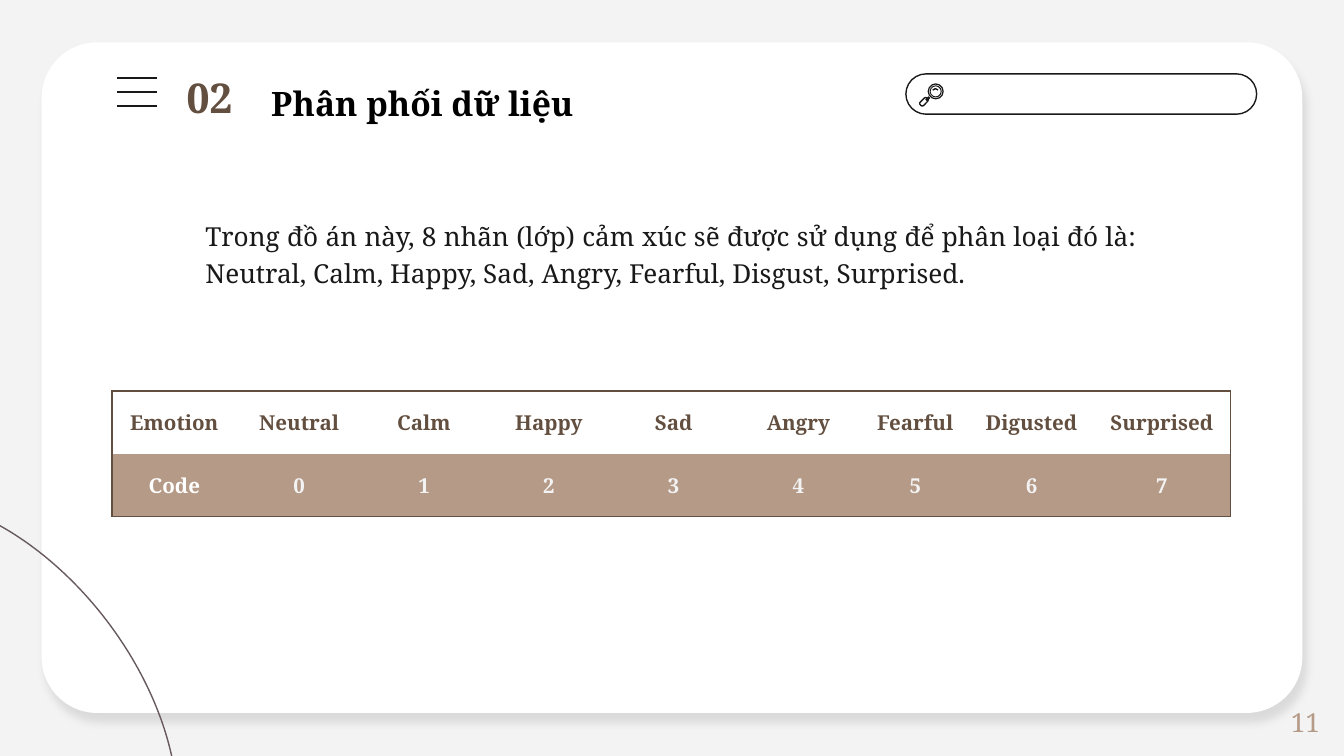
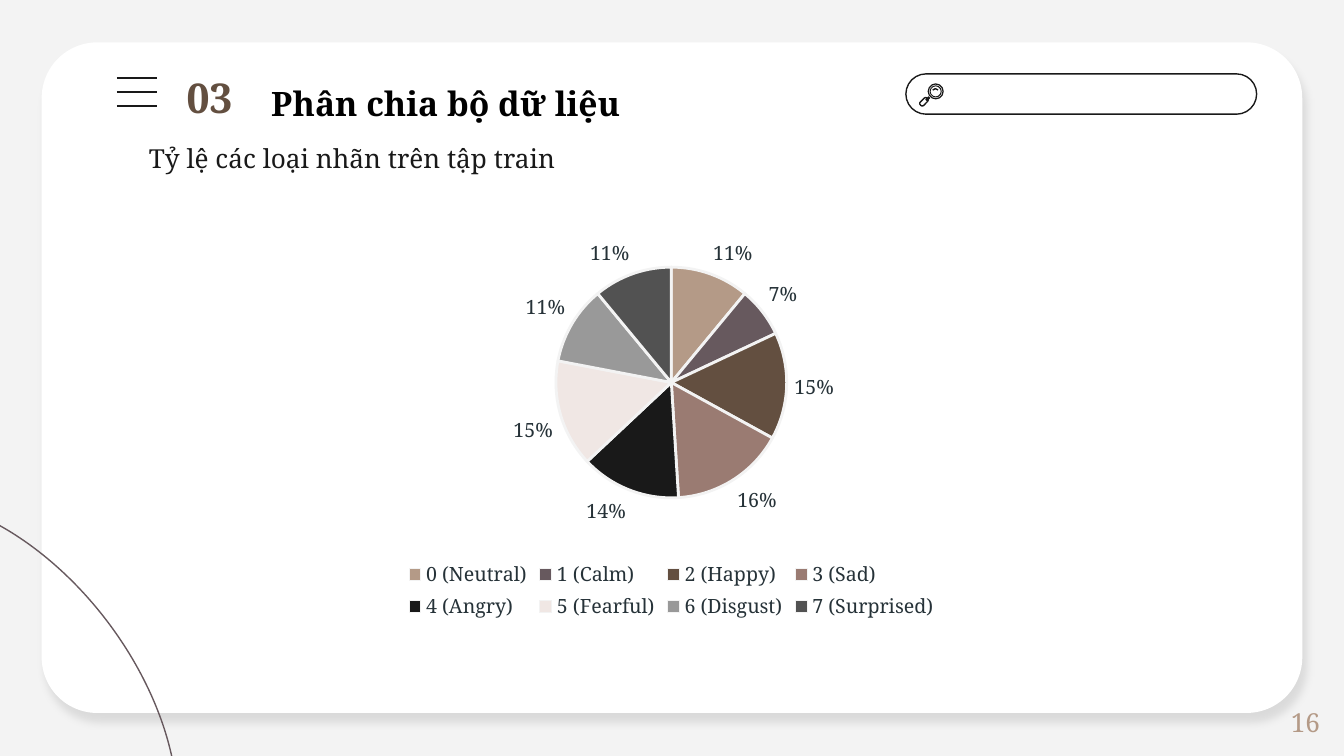
from dataclasses import dataclass

from lxml import etree
from pptx import Presentation
from pptx.chart.data import CategoryChartData
from pptx.dml.color import RGBColor
from pptx.enum.chart import XL_CHART_TYPE, XL_LABEL_POSITION, XL_LEGEND_POSITION
from pptx.enum.shapes import MSO_CONNECTOR, MSO_SHAPE
from pptx.enum.text import MSO_ANCHOR, PP_ALIGN
from pptx.oxml.ns import qn
from pptx.util import Emu, Inches, Pt

ROUNDED, OVAL, RING = MSO_SHAPE.ROUNDED_RECTANGLE, MSO_SHAPE.OVAL, MSO_SHAPE.DONUT
STRAIGHT = MSO_CONNECTOR.STRAIGHT
LEFT, CENTER, RIGHT, JUSTIFY = PP_ALIGN.LEFT, PP_ALIGN.CENTER, PP_ALIGN.RIGHT, PP_ALIGN.JUSTIFY
TOP, MIDDLE = MSO_ANCHOR.TOP, MSO_ANCHOR.MIDDLE
PIE, LEGEND_BOTTOM, OUTSIDE = XL_CHART_TYPE.PIE, XL_LEGEND_POSITION.BOTTOM, XL_LABEL_POSITION.OUTSIDE_END


@dataclass(frozen=True)
class Theme:
    font: str = "Noto Serif"
    paper: RGBColor = RGBColor.from_string("F3F3F3")
    card: RGBColor = RGBColor.from_string("FFFFFF")
    title: RGBColor = RGBColor.from_string("000000")
    ink: RGBColor = RGBColor.from_string("191919")
    brown: RGBColor = RGBColor.from_string("634F40")
    tan: RGBColor = RGBColor.from_string("B49A87")
    plum: RGBColor = RGBColor.from_string("67595E")
    chart_text: RGBColor = RGBColor.from_string("263238")
    slices: tuple = ("B49A87", "67595E", "634F40", "9A7B72", "191919", "F0E7E4", "999999", "525252")
    number_size: Pt = Pt(22)
    title_size: Pt = Pt(18)
    body_size: Pt = Pt(14)
    table_size: Pt = Pt(11)
    chart_size: Pt = Pt(10.5)
    hairline: Pt = Pt(0.75)
    border: Pt = Pt(1)
    slice_line: Pt = Pt(1.5)


theme = Theme()
presentation = Presentation()
presentation.slide_width = Inches(10)
presentation.slide_height = Inches(5.625)
CELL = presentation.slide_width // 100
presentation.slide_master.background.fill.solid()
presentation.slide_master.background.fill.fore_color.rgb = theme.paper


def add_preset(slide, preset, box, fill=None, line=None, rotation=0, adjustment=None):
    shape = slide.shapes.add_shape(preset, *(Emu(int(value * CELL)) for value in box))
    shape.shadow.inherit = False
    shape.rotation = rotation
    if adjustment is not None:
        shape.adjustments[0] = adjustment
    if fill is None:
        shape.fill.background()
    else:
        shape.fill.solid()
        shape.fill.fore_color.rgb = fill
    if line is None:
        shape.line.fill.background()
    else:
        shape.line.color.rgb = line
        shape.line.width = theme.hairline
    return shape


def add_text(slide, box, text, size, color, bold=False, inset=0.5, anchor=TOP, **paragraph_format):
    text_box = slide.shapes.add_textbox(*(Emu(int(value * CELL)) for value in box))
    frame = text_box.text_frame
    frame_format = {
        "word_wrap": True,
        "vertical_anchor": anchor,
        "margin_left": CELL,
        "margin_right": CELL,
        "margin_top": int(inset * CELL),
        "margin_bottom": int(inset * CELL),
    }
    for name, value in frame_format.items():
        setattr(frame, name, value)
    paragraph = frame.paragraphs[0]
    paragraph.text = text
    for name, value in paragraph_format.items():
        setattr(paragraph, name, value)
    for name, value in {"name": theme.font, "size": size, "bold": bold}.items():
        setattr(paragraph.font, name, value)
    paragraph.font.color.rgb = color


slides = []
for number, title, page in (("02", "Phân phối dữ liệu", "11"), ("03", "Phân chia bộ dữ liệu", "16")):
    slide = presentation.slides.add_slide(presentation.slide_layouts[6])
    slides.append(slide)

    card = add_preset(slide, ROUNDED, (3.1, 3.15, 93.8, 49.9), fill=theme.card, adjustment=0.083)
    effects = card._element.spPr.find(qn("a:effectLst"))
    shadow = etree.SubElement(
        effects, qn("a:outerShdw"), blurRad=str(Pt(4.5)), dist=str(Pt(6)),
        dir=str(68 * 60000), algn="bl", rotWithShape="0",
    )
    shadow_color = etree.SubElement(shadow, qn("a:srgbClr"), val=str(theme.title))
    etree.SubElement(shadow_color, qn("a:alpha"), val="10000")

    add_preset(slide, OVAL, (-19.6, 41.7, 36.8, 23.1), line=theme.plum, rotation=53)

    for bar in range(3):
        height = int((5.8 + 1.05 * bar) * CELL)
        menu_bar = slide.shapes.add_connector(STRAIGHT, int(8.7 * CELL), height, int(11.7 * CELL), height)
        menu_bar.line.color.rgb = theme.ink
        menu_bar.line.width = theme.hairline
        etree.SubElement(menu_bar._element.spPr, qn("a:effectLst"))

    add_preset(slide, ROUNDED, (67.4, 5.5, 26.1, 3), line=theme.ink, adjustment=0.5)
    for diameter in (1.2, 0.9):
        lens = (69.62 - diameter / 2, 6.8 - diameter / 2, diameter, diameter)
        add_preset(slide, RING, lens, fill=theme.ink, adjustment=0.08)
    add_preset(slide, ROUNDED, (68.85, 7.25, 0.35, 0.2), fill=theme.ink, rotation=315)
    add_preset(slide, ROUNDED, (68.4, 7.4, 0.7, 0.35), line=theme.ink, rotation=315, adjustment=0.4)
    glint = slide.shapes.build_freeform(694, 67, scale=CELL / 10)
    glint.add_line_segments([(696, 66), (698, 67)], close=False)
    glint_shape = glint.convert_to_shape()
    glint_shape.shadow.inherit = False
    glint_shape.fill.background()
    glint_shape.line.color.rgb = theme.ink
    glint_shape.line.width = theme.hairline

    add_text(slide, (76.7, 52.2, 22.5, 3), page, theme.body_size, theme.tan, anchor=MIDDLE, alignment=RIGHT)
    add_text(slide, (19.2, 4.6, 72.7, 5), title, theme.title_size, theme.title, bold=True, inset=1,
             alignment=JUSTIFY, line_spacing=1.2)
    add_text(slide, (12.9, 4.9, 5.8, 4.7), number, theme.number_size, theme.brown, bold=True, alignment=LEFT)

labels_slide, split_slide = slides

add_text(
    labels_slide, (14.3, 14.9, 71.3, 8.3),
    "Trong đồ án này, 8 nhãn (lớp) cảm xúc sẽ được sử dụng để phân loại đó là: "
    "Neutral, Calm, Happy, Sad, Angry, Fearful, Disgust, Surprised.",
    theme.body_size, theme.ink, inset=1, alignment=JUSTIFY, line_spacing=1.2,
)

emotion_rows = (
    ("Emotion", "Neutral", "Calm", "Happy", "Sad", "Angry", "Fearful", "Digusted", "Surprised"),
    ("Code", *map(str, range(8))),
)
column_widths = [9.29] * 6 + [8.1, 9.2, 10.2]
table_box = (8.33, 29.1, sum(column_widths), 9.34)
table = labels_slide.shapes.add_table(2, 9, *(int(value * CELL) for value in table_box)).table
table.first_row = False
table.horz_banding = False
for column, width in zip(table.columns, column_widths):
    column.width = int(width * CELL)
for row_index, labels in enumerate(emotion_rows):
    for column_index, label in enumerate(labels):
        cell = table.cell(row_index, column_index)
        is_code = row_index == 1 and column_index > 0
        side_margin, end_margin = (0.1, 0.1) if is_code else (1, 0.7)
        cell_format = {
            "text": label,
            "vertical_anchor": MIDDLE,
            "margin_left": int(side_margin * CELL),
            "margin_right": int(side_margin * CELL),
            "margin_top": int(end_margin * CELL),
            "margin_bottom": 0 if is_code else int(end_margin * CELL),
        }
        for name, value in cell_format.items():
            setattr(cell, name, value)
        properties = cell._tc.get_or_add_tcPr()
        outer_edges = {
            "a:lnL": column_index == 0,
            "a:lnR": column_index == len(labels) - 1,
            "a:lnT": row_index == 0,
            "a:lnB": row_index == 1,
        }
        for tag, is_outer in outer_edges.items():
            edge = etree.SubElement(properties, qn(tag), w=str(theme.border))
            if is_outer:
                edge_fill = etree.SubElement(edge, qn("a:solidFill"))
                etree.SubElement(edge_fill, qn("a:srgbClr"), val=str(theme.brown))
            else:
                etree.SubElement(edge, qn("a:noFill"))
        if row_index == 0:
            cell.fill.background()
            color = theme.brown
        else:
            cell.fill.solid()
            cell.fill.fore_color.rgb = theme.tan
            color = theme.paper if is_code else theme.card
        paragraph = cell.text_frame.paragraphs[0]
        paragraph.alignment = CENTER
        for name, value in {"name": theme.font, "size": theme.table_size, "bold": True}.items():
            setattr(paragraph.font, name, value)
        paragraph.font.color.rgb = color

add_text(split_slide, (10.1, 9.6, 69.8, 4.7), "Tỷ lệ các loại nhãn trên tập train",
         theme.body_size, theme.ink, inset=1, alignment=LEFT)

emotions = ("Neutral", "Calm", "Happy", "Sad", "Angry", "Fearful", "Disgust", "Surprised")
chart_data = CategoryChartData()
chart_data.categories = [f"{code} ({emotion})" for code, emotion in enumerate(emotions)]
chart_data.add_series("Series 1", (11, 7, 15, 16, 14, 15, 11, 11))
chart_box = (24.7, 16.2, 50.5, 30.3)
chart = split_slide.shapes.add_chart(PIE, *(int(value * CELL) for value in chart_box), chart_data).chart
chart.has_title = False
chart.has_legend = True
chart.legend.position = LEGEND_BOTTOM
chart.legend.include_in_layout = False
plot = chart.plots[0]
plot.vary_by_categories = True
plot.has_data_labels = True
label_format = {
    "show_percentage": True,
    "show_value": False,
    "position": OUTSIDE,
    "number_format": "0%",
    "number_format_is_linked": False,
}
for name, value in label_format.items():
    setattr(plot.data_labels, name, value)
for font in (chart.font, chart.legend.font, plot.data_labels.font):
    font.name = theme.font
    font.size = theme.chart_size
    font.color.rgb = theme.chart_text
for index, color in enumerate(theme.slices):
    point_format = plot.series[0].points[index].format
    point_format.fill.solid()
    point_format.fill.fore_color.rgb = RGBColor.from_string(color)
    point_format.line.color.rgb = theme.paper
    point_format.line.width = theme.slice_line

plot_area = chart._chartSpace.chart.plotArea
for layout in plot_area.findall(qn("c:layout")):
    plot_area.remove(layout)
layout = etree.Element(qn("c:layout"))
plot_area.insert(0, layout)
manual_layout = etree.SubElement(layout, qn("c:manualLayout"))
layout_values = {
    "layoutTarget": "inner", "xMode": "edge", "yMode": "edge",
    "x": "0.33", "y": "0.12", "w": "0.34", "h": "0.57",
}
for tag, value in layout_values.items():
    etree.SubElement(manual_layout, qn(f"c:{tag}"), val=value)

presentation.save("out.pptx")
